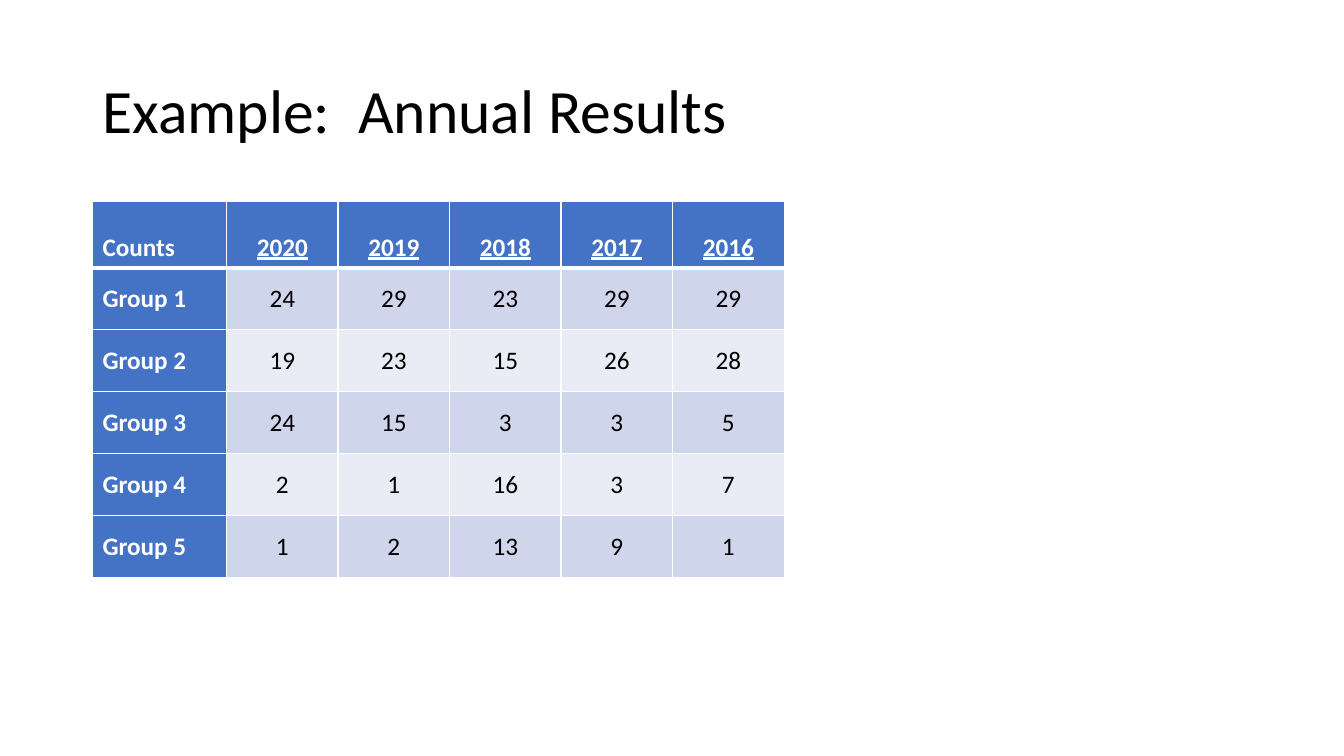
import pptx
import pptx.dml.color
import pptx.enum.text
import pptx.oxml
import pptx.oxml.ns
import pptx.util

Cm, Pt = pptx.util.Cm, pptx.util.Pt
RGBColor = pptx.dml.color.RGBColor
ALIGN, ANCHOR = pptx.enum.text.PP_ALIGN, pptx.enum.text.MSO_ANCHOR

BLACK = RGBColor(0x00, 0x00, 0x00)
WHITE = RGBColor(0xFF, 0xFF, 0xFF)
BLUE = RGBColor(0x44, 0x72, 0xC4)
DARK_BAND = RGBColor(0xCF, 0xD5, 0xEA)
LIGHT_BAND = RGBColor(0xE9, 0xEB, 0xF5)
FONT = "Calibri"

RESULTS = [
    ["Counts", 2020, 2019, 2018, 2017, 2016],
    ["Group 1", 24, 29, 23, 29, 29],
    ["Group 2", 19, 23, 15, 26, 28],
    ["Group 3", 24, 15, 3, 3, 5],
    ["Group 4", 2, 1, 16, 3, 7],
    ["Group 5", 1, 2, 13, 9, 1],
]


def add_border(cell, side, width):
    cell._tc.get_or_add_tcPr().append(pptx.oxml.parse_xml(
        f'<a:ln{side} {pptx.oxml.ns.nsdecls("a")} w="{Pt(width)}">'
        f'<a:solidFill><a:srgbClr val="{WHITE}"/></a:solidFill></a:ln{side}>'))


presentation = pptx.Presentation()
presentation.slide_width, presentation.slide_height = Cm(33.87), Cm(19.05)
slide = presentation.slides.add_slide(presentation.slide_layouts[5])

title = slide.shapes.title
title.left, title.top, title.width, title.height = Cm(2.33), Cm(1.01), Cm(29.21), Cm(3.68)
title.text_frame.text = "Example:  Annual Results"
title.text_frame.vertical_anchor = ANCHOR.MIDDLE
heading = title.text_frame.paragraphs[0]
heading.alignment = ALIGN.LEFT
heading.line_spacing = 0.9
heading_font = heading.runs[0].font
heading_font.name, heading_font.size = FONT, Pt(44)
heading_font.color.rgb = BLACK

counts = slide.shapes.add_table(
    len(RESULTS), len(RESULTS[0]), Cm(2.33), Cm(5.08), Cm(17.43), Cm(9.47)).table
counts.first_col = True
for index, column in enumerate(counts.columns):
    column.width = Cm(2.81) if index else Cm(3.38)
for index, row in enumerate(counts.rows):
    row.height = Cm(1.56) if index else Cm(1.67)

for row_index, values in enumerate(RESULTS):
    for column_index, value in enumerate(values):
        is_year = row_index == 0 and column_index > 0
        is_header = row_index == 0 or column_index == 0
        cell = counts.cell(row_index, column_index)
        add_border(cell, "L", 1)
        add_border(cell, "R", 1)
        add_border(cell, "T", 3 if row_index == 1 else 1)
        add_border(cell, "B", 3 if row_index == 0 else 1)
        cell.fill.solid()
        band = DARK_BAND if row_index % 2 else LIGHT_BAND
        cell.fill.fore_color.rgb = BLUE if is_header else band
        cell.vertical_anchor = ANCHOR.MIDDLE if row_index else ANCHOR.BOTTOM

        paragraph = cell.text_frame.paragraphs[0]
        paragraph.text = str(value)
        paragraph.alignment = ALIGN.CENTER if column_index else ALIGN.LEFT
        font = paragraph.runs[0].font
        font.name, font.size = FONT, Pt(18)
        font.bold, font.underline = is_header, is_year
        font.color.rgb = WHITE if is_header else BLACK

presentation.save("out.pptx")
